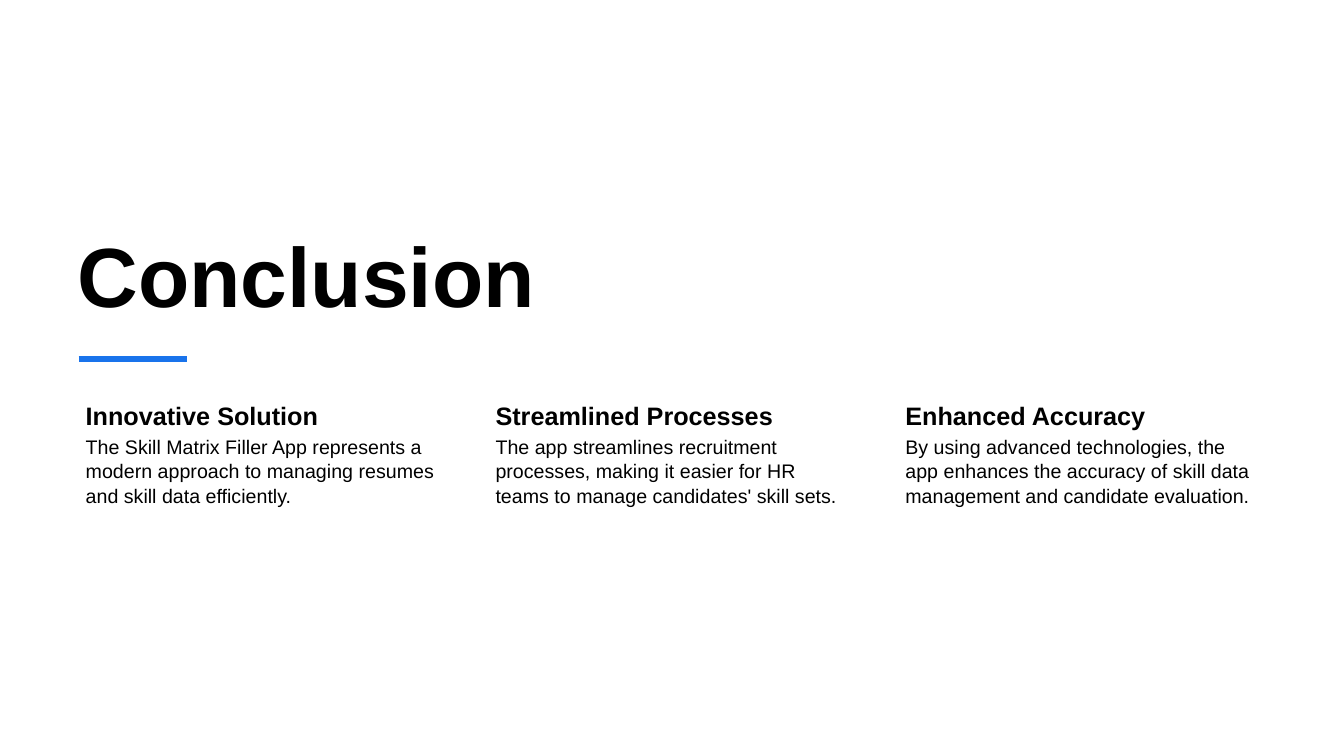
import dataclasses
import pptx
import pptx.dml.color
import pptx.enum.shapes
import pptx.enum.text
import pptx.oxml
import pptx.oxml.ns
import pptx.shapes.shapetree
import pptx.slide
import pptx.text.text
import pptx.util

Inches = pptx.util.Inches
Pt = pptx.util.Pt
RGBColor = pptx.dml.color.RGBColor
Anchor = pptx.enum.text.MSO_ANCHOR

BLACK = RGBColor(0x00, 0x00, 0x00)
BLUE = RGBColor(0x19, 0x73, 0xEB)
WHITE = RGBColor(0xFF, 0xFF, 0xFF)
FONT = "Arial"
LEFT = 0.7
STEP = 4.065
WIDTH = 3.69


@dataclasses.dataclass
class Style:
    top: float
    height: float
    inset: float
    size: int
    bold: bool


@dataclasses.dataclass
class Column:
    head: str
    body: str


HEAD = Style(3.93, 0.35, 0.03, 18, True)
BODY = Style(4.28, 2.34, 0.02, 14, False)
COLUMNS = [
    Column("Innovative Solution",
           "The Skill Matrix Filler App represents a modern approach to "
           "managing resumes and skill data efficiently."),
    Column("Streamlined Processes",
           "The app streamlines recruitment processes, making it easier for "
           "HR teams to manage candidates' skill sets."),
    Column("Enhanced Accuracy",
           "By using advanced technologies, the app enhances the accuracy of "
           "skill data management and candidate evaluation."),
]


def write(frame: pptx.text.text.TextFrame, text: str, size: int, bold: bool,
          anchor: Anchor, left: float, inset: float) -> None:
    frame.word_wrap = True
    frame.auto_size = pptx.enum.text.MSO_AUTO_SIZE.NONE
    frame.vertical_anchor = anchor
    frame.margin_left = Inches(left)
    frame.margin_top = frame.margin_right = frame.margin_bottom = Inches(inset)
    line = frame.paragraphs[0]
    line.alignment = pptx.enum.text.PP_ALIGN.LEFT
    run = line.add_run()
    run.text = text
    run.font.name = FONT
    run.font.size = Pt(size)
    run.font.bold = bold
    run.font.color.rgb = BLACK


def add_title(slide: pptx.slide.Slide) -> None:
    title = slide.shapes.title
    title.left, title.top = Inches(LEFT), Inches(1.72)
    title.width, title.height = Inches(8.93), Inches(1.54)
    write(title.text_frame, "Conclusion", 60, True, Anchor.BOTTOM, 0.07, 0.04)


def add_text(shapes: pptx.shapes.shapetree.GroupShapes, left: float,
             text: str, style: Style) -> None:
    box = shapes.add_textbox(Inches(left), Inches(style.top),
                             Inches(WIDTH), Inches(style.height))
    write(box.text_frame, text, style.size, style.bold, Anchor.TOP,
          0.15, style.inset)
    box.text_frame.paragraphs[0].line_spacing = 1.05


def add_rule(slide: pptx.slide.Slide) -> None:
    rule = slide.shapes.add_connector(
        pptx.enum.shapes.MSO_CONNECTOR.STRAIGHT,
        Inches(0.78), Inches(3.56), Inches(1.85), Inches(3.56))
    rule.line.color.rgb = BLUE
    rule.line.width = Pt(4.5)
    props = rule._element.spPr
    props.append(pptx.oxml.parse_xml(
        f"<a:effectLst {pptx.oxml.ns.nsdecls('a')}/>"))


def main() -> None:
    deck = pptx.Presentation()
    deck.slide_width = Inches(13.33)
    deck.slide_height = Inches(7.5)
    slide = deck.slides.add_slide(deck.slide_layouts[5])
    slide.background.fill.solid()
    slide.background.fill.fore_color.rgb = WHITE
    add_title(slide)
    group = slide.shapes.add_group_shape()
    for index, column in enumerate(COLUMNS):
        left = LEFT + index * STEP
        add_text(group.shapes, left, column.head, HEAD)
        add_text(group.shapes, left, column.body, BODY)
    add_rule(slide)
    deck.save("out.pptx")


if __name__ == "__main__":
    main()
